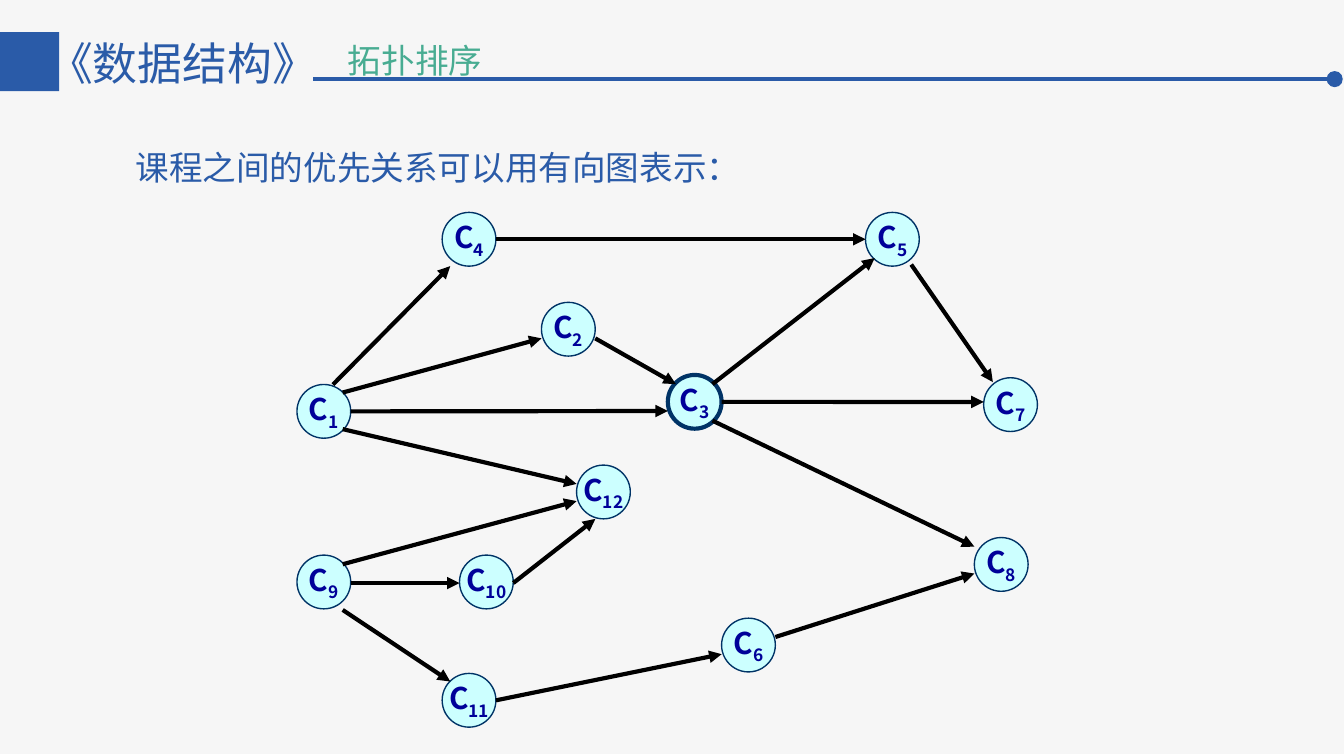
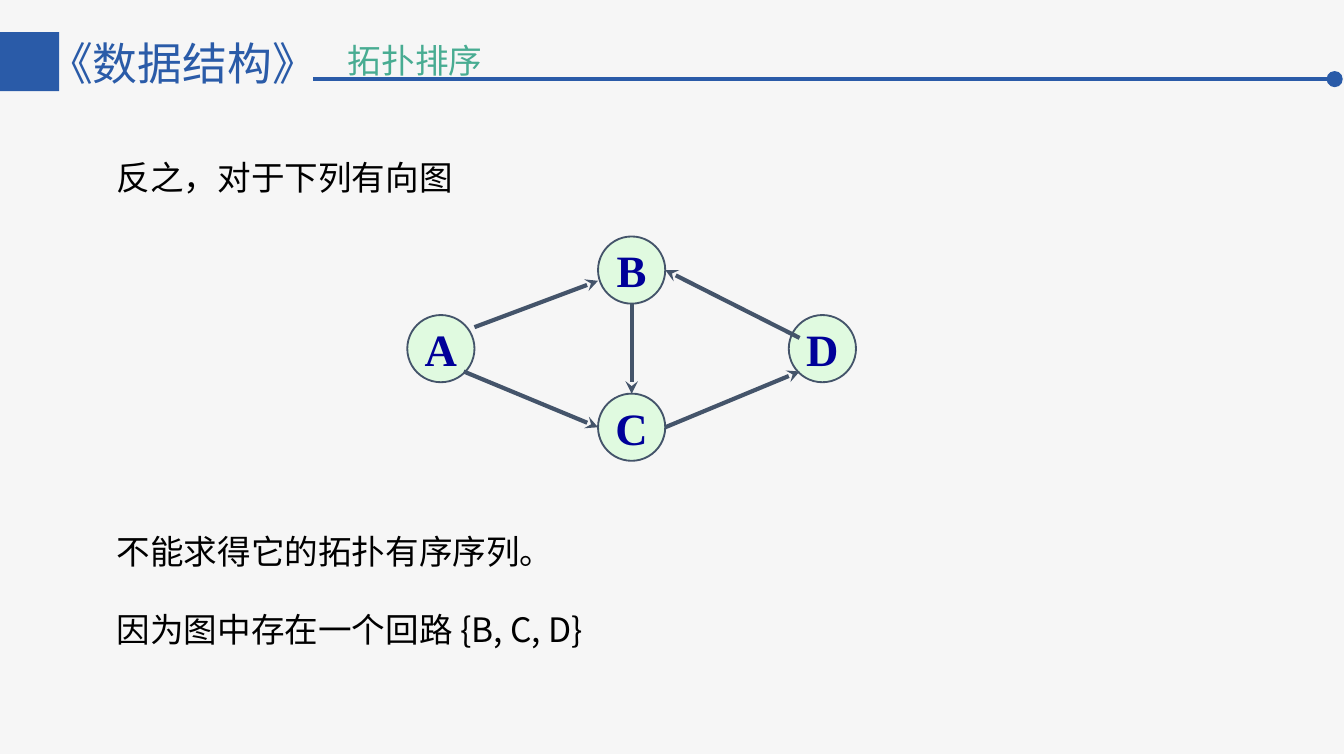
from collections import namedtuple

from lxml.etree import SubElement
from pptx import Presentation
from pptx.dml.color import RGBColor
from pptx.enum.shapes import MSO_CONNECTOR, MSO_SHAPE
from pptx.enum.text import MSO_ANCHOR, MSO_AUTO_SIZE, PP_ALIGN
from pptx.oxml.ns import qn
from pptx.util import Pt

BLUE = RGBColor(0x2A, 0x5B, 0xA8)
GREEN = RGBColor(0x48, 0xAC, 0x92)
PAPER = RGBColor(0xF6, 0xF6, 0xF6)
BLACK = RGBColor(0x00, 0x00, 0x00)
LABEL_NAVY = RGBColor(0x00, 0x00, 0x99)
COURSE_FILL = RGBColor(0xCC, 0xFF, 0xFF)
COURSE_RIM = RGBColor(0x00, 0x33, 0x66)
CYCLE_FILL = RGBColor(0xCC, 0xFF, 0xCC)
SLATE = RGBColor(0x44, 0x54, 0x6A)

SANS = "Noto Sans CJK JP"
SERIF = "Times New Roman"

Box = namedtuple("Box", "left top width height")
GraphStyle = namedtuple(
    "GraphStyle", "diameter fill alpha rim rim_width font size edge arrowhead")

COURSE_STYLE = GraphStyle(28.8, COURSE_FILL, 100, COURSE_RIM, 0.75, SANS, 16,
                          BLACK, "triangle")
CYCLE_STYLE = GraphStyle(36, CYCLE_FILL, 50, SLATE, 1, SERIF, 24,
                         SLATE, "stealth")

SLIDE = Box(0, 0, 720, 405)
HEADER = Box(0, 15.8, 720, 36)
COURSE_GRAPH = Box(159.1, 113.8, 396.7, 275.8)
CYCLE_GRAPH = Box(218.2, 126.7, 240.5, 120.2)

COURSES = {
    "C1": (0, 92.2), "C9": (0, 183.6), "C4": (77.8, 0), "C2": (131, 48.2),
    "C3": (198.7, 87.1), "C12": (149.8, 135.4), "C10": (87.1, 183.6),
    "C11": (77.8, 247), "C5": (304.6, 0), "C7": (367.9, 88.6),
    "C6": (227.5, 217.4), "C8": (362.9, 174.2),
}
COURSE_EDGES = [
    ("C1", (1, 0.5), "C3", (0, 0.67)),
    ("C3", (1, 0.5), "C7", (0, 0.45)),
    ("C1", (0.67, 0), "C4", (0.15, 1)),
    ("C1", (0.85, 0.15), "C2", (0, 0.67)),
    ("C2", (1, 0.67), "C3", (0.15, 0.17)),
    ("C4", (1, 0.5), "C5", (0, 0.5)),
    ("C5", (0.85, 0.97), "C7", (0.17, 0.08)),
    ("C1", (0.85, 0.83), "C12", (0, 0.35)),
    ("C9", (1, 0.52), "C10", (0, 0.52)),
    ("C9", (0.85, 0.17), "C12", (0, 0.67)),
    ("C9", (0.85, 1.02), "C11", (0.15, 0.15)),
    ("C10", (1, 0.52), "C12", (0.35, 1)),
    ("C11", (1, 0.5), "C6", (0, 0.67)),
    ("C6", (1, 0.35), "C8", (0, 0.67)),
    ("C3", (0.83, 0.85), "C8", (0, 0.17)),
    ("C3", (0.83, 0.17), "C5", (0.17, 0.85)),
]

COLUMN, ROW = 102.2, 42.1
CYCLE_NODES = {
    "B": (COLUMN, 0), "D": (2 * COLUMN, ROW),
    "A": (0, ROW), "C": (COLUMN, 2 * ROW),
}
CYCLE_EDGES = [
    ("A", (1, 0.18), "B", (0, 0.66)),
    ("A", (0.84, 0.84), "C", (0, 0.5)),
    ("C", (1, 0.5), "D", (0.16, 0.84)),
    ("D", (0.16, 0.34), "B", (1, 0.5)),
    ("B", (0.5, 1), "C", (0.5, 0)),
]


def within(box, left, top, width, height):
    return Box(box.left + left, box.top + top, width, height)


def write_text(frame, text, *, size, color, font=SANS, bold=False, subscript="",
               align=PP_ALIGN.LEFT, anchor=MSO_ANCHOR.TOP, wrap=True,
               spacing=None, insets=(7.2, 3.6, 7.2, 3.6), grow=False):
    frame.word_wrap = wrap
    frame.vertical_anchor = anchor
    frame.margin_left, frame.margin_top, frame.margin_right, frame.margin_bottom = map(Pt, insets)
    if grow:
        frame.auto_size = MSO_AUTO_SIZE.SHAPE_TO_FIT_TEXT
    paragraph = frame.paragraphs[0]
    paragraph.alignment = align
    if spacing:
        paragraph.line_spacing = spacing
    for part, baseline in ((text, None), (subscript, "-25000")):
        if not part:
            continue
        run = paragraph.add_run()
        run.text = part
        run.font.size = Pt(size)
        run.font.bold = bold
        run.font.color.rgb = color
        run.font.name = font
        properties = run.font._element
        SubElement(properties, qn("a:ea")).set("typeface", font)
        if baseline:
            properties.set("baseline", baseline)


def add_label(shapes, box, text, **text_format):
    label = shapes.add_textbox(*map(Pt, box))
    write_text(label.text_frame, text, **text_format)


def add_block(shapes, preset, box, fill, alpha=100, rim=None, rim_width=0):
    block = shapes.add_shape(preset, *map(Pt, box))
    block.shadow.inherit = False
    block.fill.solid()
    block.fill.fore_color.rgb = fill
    if alpha < 100:
        fill_color = block._element.spPr.find(".//" + qn("a:srgbClr"))
        SubElement(fill_color, qn("a:alpha")).set("val", str(alpha * 1000))
    if rim is None:
        block.line.fill.background()
    else:
        block.line.color.rgb = rim
        block.line.width = Pt(rim_width)
    return block


def add_line(shapes, start, end, color, width, arrowhead=None):
    line = shapes.add_connector(MSO_CONNECTOR.STRAIGHT, *map(Pt, (*start, *end)))
    line.line.color.rgb = color
    line.line.width = Pt(width)
    properties = line._element.spPr
    if arrowhead:
        stroke = properties.find(qn("a:ln"))
        SubElement(stroke, qn("a:tailEnd")).set("type", arrowhead)
    SubElement(properties, qn("a:effectLst"))


def draw_header(slide, box):
    shapes = slide.shapes
    add_label(shapes, within(box, 18.7, 0, 162.7, 36), "《数据结构》",
              size=24, color=BLUE, grow=True)
    add_block(shapes, MSO_SHAPE.RECTANGLE, within(box, 0, 1.4, 31.7, 31.7), BLUE)
    add_label(shapes, within(box, 181.4, 2.9, 221, 28), "拓扑排序",
              size=18, color=GREEN, insets=(5, 2.9, 5, 2.9))
    rule = shapes.add_group_shape().shapes
    dot_size, rule_top = 8.64, box.top + 26.6
    rule_end = box.left + box.width - dot_size - 0.7
    add_line(rule, (box.left + 167.8, rule_top), (rule_end, rule_top), BLUE, 1.75)
    add_block(rule, MSO_SHAPE.OVAL,
              Box(rule_end, rule_top - dot_size / 2, dot_size, dot_size), BLUE)


def draw_graph(slide, box, style, nodes, edges, emphasised=None, indexed=False):
    size = style.diameter
    for name, (left, top) in nodes.items():
        rim_width = style.rim_width * (3 if name == emphasised else 1)
        node = add_block(slide.shapes, MSO_SHAPE.OVAL,
                         within(box, left, top, size, size),
                         style.fill, style.alpha, style.rim, rim_width)
        write_text(node.text_frame, name[0] if indexed else name,
                   subscript=name[1:] if indexed else "",
                   size=style.size, color=LABEL_NAVY, font=style.font, bold=True,
                   align=PP_ALIGN.CENTER, anchor=MSO_ANCHOR.MIDDLE, wrap=False)

    def rim_point(name, fraction):
        left, top = nodes[name]
        return (box.left + left + fraction[0] * size,
                box.top + top + fraction[1] * size)

    for source, leaving, target, arriving in edges:
        add_line(slide.shapes, rim_point(source, leaving),
                 rim_point(target, arriving), style.edge, 2.25, style.arrowhead)


def add_lecture_slide(deck):
    slide = deck.slides.add_slide(deck.slide_layouts[6])
    add_block(slide.shapes, MSO_SHAPE.RECTANGLE, SLIDE._replace(height=404), PAPER)
    draw_header(slide, HEADER)
    return slide


def build_course_slide(deck, box):
    slide = add_lecture_slide(deck)
    add_label(slide.shapes, within(box, 65.5, 78.5, 537, 25.2),
              "课程之间的优先关系可以用有向图表示：",
              size=18, color=BLUE, insets=(7.2, 0, 7.2, 3.6), grow=True)
    draw_graph(slide, COURSE_GRAPH, COURSE_STYLE, COURSES, COURSE_EDGES,
               emphasised="C3", indexed=True)


def build_cycle_slide(deck, box):
    slide = add_lecture_slide(deck)
    statements = [
        (69.8, "反之，对于下列有向图"),
        (270, "不能求得它的拓扑有序序列。"),
        (311.8, "因为图中存在一个回路 {B, C, D}"),
    ]
    for top, statement in statements:
        add_label(slide.shapes, within(box, 55.4, top, 569.5, 36.7), statement,
                  size=18, color=BLACK, spacing=1.5, grow=True)
    draw_graph(slide, CYCLE_GRAPH, CYCLE_STYLE, CYCLE_NODES, CYCLE_EDGES)


def main():
    deck = Presentation()
    deck.slide_width, deck.slide_height = Pt(SLIDE.width), Pt(SLIDE.height)
    build_course_slide(deck, SLIDE)
    build_cycle_slide(deck, SLIDE)
    deck.save("out.pptx")


if __name__ == "__main__":
    main()
